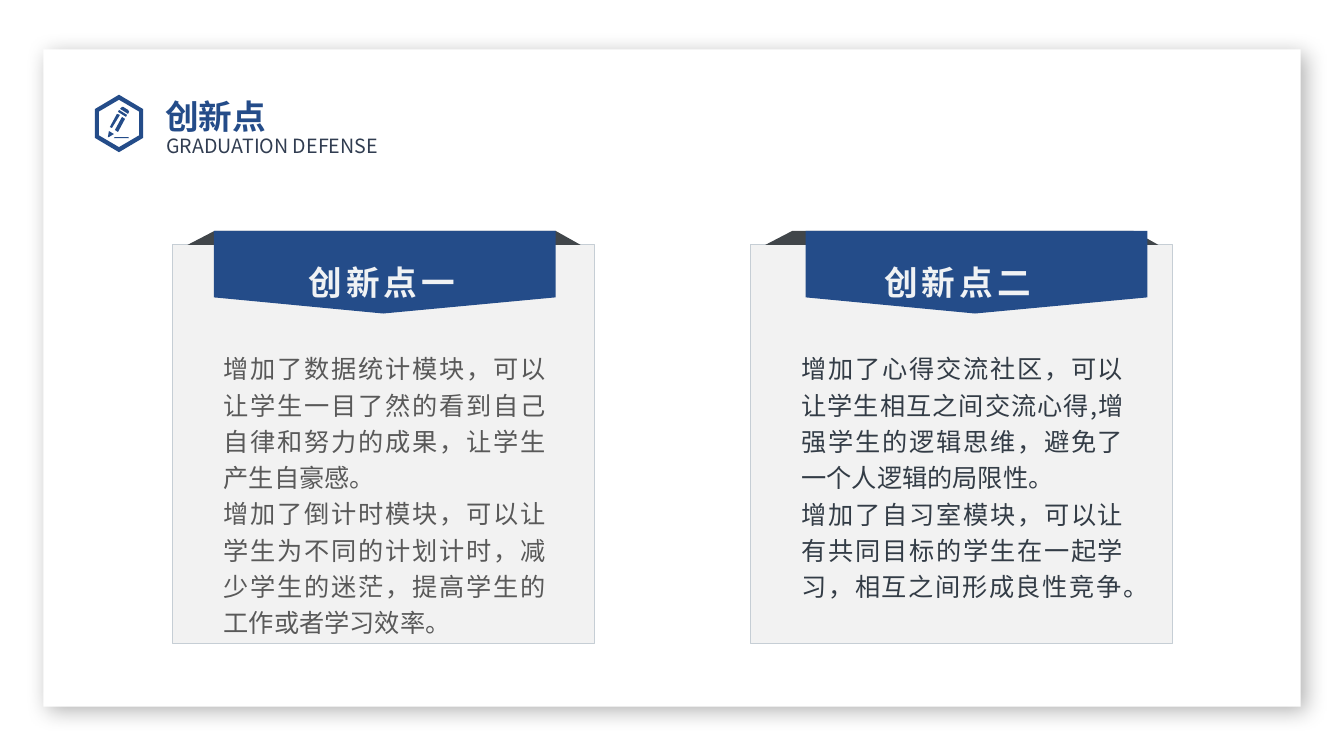
from dataclasses import dataclass

from lxml import etree
from pptx import Presentation
from pptx.dml.color import RGBColor
from pptx.enum.shapes import MSO_SHAPE
from pptx.enum.text import MSO_AUTO_SIZE, PP_ALIGN
from pptx.oxml.ns import qn
from pptx.util import Inches, Pt

RECTANGLE = MSO_SHAPE.RECTANGLE
JUSTIFY = PP_ALIGN.JUSTIFY
LEFT = PP_ALIGN.LEFT
FIT_SHAPE = MSO_AUTO_SIZE.SHAPE_TO_FIT_TEXT
NO_FIT = MSO_AUTO_SIZE.NONE

TITLE = "创新点"
SUBTITLE = "GRADUATION DEFENSE"
CARDS = [
    {
        "heading": "创新点一",
        "left": 1.71, "banner_left": 2.12, "heading_left": 2.96,
        "heading_width": 1.72, "body_height": 3.23, "body_color": "595959",
        "body": [
            "增加了数据统计模块，可以让学生一目了然的看到自己自律和努力的成果，让学生产生自豪感。",
            "增加了倒计时模块，可以让学生为不同的计划计时，减少学生的迷茫，提高学生的工作或者学习效率。",
        ],
    },
    {
        "heading": "创新点二",
        "left": 7.44, "banner_left": 7.99, "heading_left": 8.67,
        "heading_width": 1.76, "body_height": 2.98, "body_color": "333C46",
        "body": [
            "增加了心得交流社区，可以让学生相互之间交流心得,增强学生的逻辑思维，避免了一个人逻辑的局限性。",
            "增加了自习室模块，可以让有共同目标的学生在一起学习，相互之间形成良性竞争。",
        ],
    },
]

PENCIL = [
    [(1.13, 1.37), (1.14, 1.36), (1.27, 1.36), (1.28, 1.37), (1.27, 1.37), (1.14, 1.37)],
    [(1.14, 1.29), (1.21, 1.16), (1.24, 1.18), (1.17, 1.31)],
    [(1.09, 1.26), (1.16, 1.13), (1.19, 1.14), (1.11, 1.27)],
    [(1.07, 1.36), (1.08, 1.3), (1.13, 1.33), (1.08, 1.36)],
    [(1.18, 1.09), (1.17, 1.11), (1.25, 1.16), (1.26, 1.14)],
    [(1.2, 1.07), (1.21, 1.06), (1.22, 1.06), (1.27, 1.09),
     (1.28, 1.11), (1.27, 1.13), (1.19, 1.08)],
]
FOLD = [(0, 0.14), (0.27, 0), (3.65, 0), (3.9, 0.14)]
BANNER = [(0, 0), (3.39, 0), (3.39, 0.66), (1.68, 0.82), (0, 0.66)]
BANNER_TOP = 2.29


@dataclass(frozen=True)
class Theme:
    font: str = "Noto Sans CJK SC"
    white: str = "FFFFFF"
    blue: str = "244C89"
    subtitle: str = "313D51"
    panel: str = "F2F2F2"
    panel_line: str = "C6CED5"
    fold: str = "41464A"
    heading: str = "F0F2F4"
    title_size: int = 24
    subtitle_size: int = 14
    body_size: int = 18


THEME = Theme()


def paint(shape, fill, line=None):
    shape.shadow.inherit = False
    shape.fill.solid()
    shape.fill.fore_color.rgb = RGBColor.from_string(fill)
    if line:
        shape.line.color.rgb = RGBColor.from_string(line)
        shape.line.width = Pt(0.75)
    else:
        shape.line.fill.background()


def add_box(shapes, left, top, width, height, fill, line=None):
    box = shapes.add_shape(RECTANGLE, Inches(left), Inches(top), Inches(width), Inches(height))
    paint(box, fill, line)
    return box


def add_outline(shapes, contours, fill, left=0, top=0):
    contours = [[(Inches(left + x), Inches(top + y)) for x, y in points] for points in contours]
    builder = shapes.build_freeform(*contours[0][0])
    for number, points in enumerate(contours):
        if number:
            builder.move_to(*points[0])
        builder.add_line_segments(points[1:], close=True)
    paint(builder.convert_to_shape(), fill)


def add_text(shapes, place, lines, size, color, bold=False, align=LEFT,
             spacing=1.2, tracking=0, wrap=True, fit=FIT_SHAPE):
    box = shapes.add_textbox(*[Inches(length) for length in place])
    frame = box.text_frame
    frame.word_wrap = wrap
    frame.auto_size = fit
    for number, line in enumerate(lines):
        paragraph = frame.add_paragraph() if number else frame.paragraphs[0]
        paragraph.alignment = align
        paragraph.line_spacing = spacing
        run = paragraph.add_run()
        run.text = line
        run.font.name = THEME.font
        run.font.size = Pt(size)
        run.font.bold = bold
        run.font.color.rgb = RGBColor.from_string(color)
        properties = run.font._element
        properties.set("lang", "zh-CN")
        if tracking:
            properties.set("spc", str(tracking * 100))
        etree.SubElement(properties, qn("a:ea")).set("typeface", THEME.font)
    return frame


def add_page(shapes):
    page = add_box(shapes, 0.43, 0.49, 12.47, 6.52, THEME.white)
    effects = page._element.spPr.find(qn("a:effectLst"))
    shadow = etree.SubElement(effects, qn("a:outerShdw"), blurRad=str(Pt(15)),
                              dist=str(Pt(5)), dir="2700000", algn="tl", rotWithShape="0")
    color = etree.SubElement(shadow, qn("a:srgbClr"), val="000000")
    etree.SubElement(color, qn("a:alpha"), val="30000")


def hexagon(half_width, half_height, center_x=1.18, center_y=1.225):
    corners = [(0, -1), (1, -0.5), (1, 0.5), (0, 1), (-1, 0.5), (-1, -0.5)]
    return [(center_x + x * half_width, center_y + y * half_height) for x, y in corners]


def add_header(shapes):
    add_outline(shapes, [hexagon(0.24, 0.285), hexagon(0.2, 0.235)] + PENCIL, THEME.blue)
    subtitle = add_text(shapes, (1.65, 1.24, 2.17, 0.34), [SUBTITLE], THEME.subtitle_size,
                        THEME.subtitle, spacing=Pt(23))
    subtitle.margin_left = subtitle.margin_top = subtitle.margin_right = 0
    add_text(shapes, (1.54, 0.82, 3.97, 0.5), [TITLE], THEME.title_size, THEME.blue,
             bold=True, fit=NO_FIT)


def add_card(slide, card):
    shapes = slide.shapes.add_group_shape().shapes
    left = card["left"]
    add_box(shapes, left, 2.43, 4.19, 3.95, THEME.panel, THEME.panel_line)
    add_outline(shapes, [FOLD], THEME.fold, left + 0.15, BANNER_TOP)
    add_outline(shapes, [BANNER], THEME.blue, card["banner_left"], BANNER_TOP)
    add_text(shapes, (card["heading_left"], 2.47, card["heading_width"], 0.54),
             [card["heading"]], THEME.title_size, THEME.heading, bold=True,
             align=JUSTIFY, tracking=3, wrap=False)
    add_text(shapes, (left + 0.41, 3.4, 3.39, card["body_height"]), card["body"],
             THEME.body_size, card["body_color"], align=JUSTIFY)


def main():
    presentation = Presentation()
    presentation.slide_width = Inches(13.33)
    presentation.slide_height = Inches(7.5)
    slide = presentation.slides.add_slide(presentation.slide_layouts[6])
    add_page(slide.shapes)
    add_header(slide.shapes)
    for card in CARDS:
        add_card(slide, card)
    presentation.save("out.pptx")


if __name__ == "__main__":
    main()
